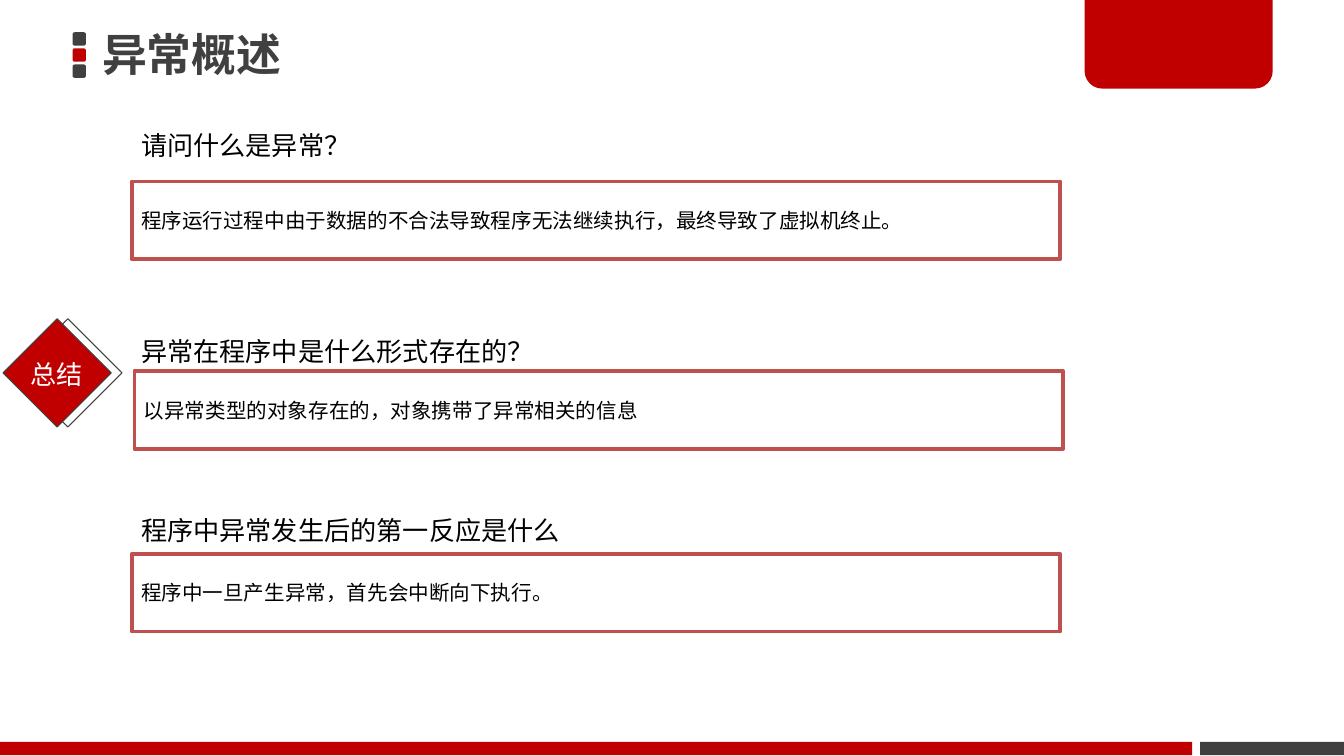
import pptx
import pptx.dml.color
import pptx.enum.shapes
import pptx.enum.text
import pptx.oxml.ns
import pptx.util
from lxml import etree

Inches = pptx.util.Inches
SHAPES = pptx.enum.shapes.MSO_SHAPE
ALIGN = pptx.enum.text.PP_ALIGN
ANCHOR = pptx.enum.text.MSO_ANCHOR

FONT = "Noto Sans CJK JP"
RED = "C00000"
GREY = "404040"
WHITE = "FFFFFF"
BLACK = "000000"
BORDER = "C0504D"

QUESTIONS = [
    (0.98, 0.92, 0.42, 1.0, "请问什么是异常？"),
    (0.98, 2.34, 0.43, 1.5, "异常在程序中是什么形式存在的？"),
    (0.98, 3.67, 0.43, 1.5, "程序中异常发生后的第一反应是什么"),
]
ANSWERS = [
    (0.98, 1.35, "程序运行过程中由于数据的不合法导致程序无法继续执行，最终导致了虚拟机终止。"),
    (1.0, 2.76, "以异常类型的对象存在的，对象携带了异常相关的信息"),
    (0.98, 4.12, "程序中一旦产生异常，首先会中断向下执行。"),
]


def rgb(color):
    return pptx.dml.color.RGBColor.from_string(color)


def place(part, left, top, width, height):
    part.left, part.top = Inches(left), Inches(top)
    part.width, part.height = Inches(width), Inches(height)


def paint(part, fill=None, line=None, line_width=0.5):
    if fill:
        part.fill.solid()
        part.fill.fore_color.rgb = rgb(fill)
    else:
        part.fill.background()
    if line:
        part.line.color.rgb = rgb(line)
        part.line.width = pptx.util.Pt(line_width)
    else:
        part.line.fill.background()


def add_block(slide, kind, box, fill=None, line=None, rotation=0):
    block = slide.shapes.add_shape(kind, *map(Inches, box))
    block.shadow.inherit = False
    block.rotation = rotation
    paint(block, fill, line)
    return block


def write(part, text, size, color=BLACK, bold=False, align=ALIGN.LEFT,
          anchor=ANCHOR.TOP, spacing=1.0):
    frame = part.text_frame
    frame.word_wrap = True
    frame.auto_size = pptx.enum.text.MSO_AUTO_SIZE.NONE
    frame.vertical_anchor = anchor
    frame.margin_left = frame.margin_right = Inches(0.07)
    frame.margin_top = frame.margin_bottom = Inches(0.04)
    paragraph = frame.paragraphs[0]
    paragraph.alignment = align
    paragraph.line_spacing = spacing
    paragraph.space_before = pptx.util.Pt(0)
    run = paragraph.add_run()
    run.text = text
    run.font.name = FONT
    run.font.size = pptx.util.Pt(size)
    run.font.bold = bold
    run.font.color.rgb = rgb(color)
    east_asian = etree.SubElement(run.font._element, pptx.oxml.ns.qn("a:ea"))
    east_asian.set("typeface", FONT)


def remove_bullet(paragraph):
    properties = paragraph._p.get_or_add_pPr()
    properties.set("marL", "0")
    properties.set("indent", "0")
    etree.SubElement(properties, pptx.oxml.ns.qn("a:buNone"))


def add_header(slide, left, top, width, height):
    for row, color in enumerate([GREY, RED, GREY]):
        add_block(slide, SHAPES.ROUNDED_RECTANGLE,
                  (left, top + 0.05 + row * 0.12, 0.1, 0.1), fill=color)
    title = slide.shapes.title
    place(title, left + 0.15, top, width - 0.15, height)
    write(title, "异常概述", 24, color=GREY, bold=True, anchor=ANCHOR.MIDDLE)


def add_corner_tab(slide, left, top, width, height):
    tab = add_block(slide, SHAPES.ROUND_2_SAME_RECTANGLE,
                    (left, top, width, height), fill=RED)
    tab.adjustments[0] = 0
    tab.adjustments[1] = 0.2


def add_footer(slide, left, top, width, height):
    red_width, gap = 8.87, 0.06
    grey_left = left + red_width + gap
    add_block(slide, SHAPES.RECTANGLE, (left, top, red_width, height), fill=RED)
    add_block(slide, SHAPES.RECTANGLE,
              (grey_left, top, left + width - grey_left, height), fill=GREY)


def add_summary_badge(slide, left, top, width, height):
    side = 0.57
    add_block(slide, SHAPES.RECTANGLE, (left + 0.2, top, side, side),
              line=GREY, rotation=45)
    add_block(slide, SHAPES.RECTANGLE, (left + 0.12, top, side, side),
              fill=RED, line=GREY, rotation=45)
    label = slide.shapes.add_textbox(
        Inches(left), Inches(top + 0.16), Inches(width), Inches(height))
    write(label, "总结", 14, color=WHITE, align=ALIGN.CENTER,
          anchor=ANCHOR.MIDDLE, spacing=0.9)


def add_question(slide, left, top, width, height, text, spacing):
    question = slide.shapes.add_textbox(
        Inches(left), Inches(top), Inches(width), Inches(height))
    write(question, text, 14, spacing=spacing)


def fill_answer(answer, left, top, width, height, text):
    place(answer, left, top, width, height)
    paint(answer, fill=WHITE, line=BORDER, line_width=2)
    remove_bullet(answer.text_frame.paragraphs[0])
    write(answer, text, 11, anchor=ANCHOR.MIDDLE)


def main():
    deck = pptx.Presentation()
    deck.slide_width = Inches(10)
    deck.slide_height = deck.slide_width * 9 // 16
    slide = deck.slides.add_slide(deck.slide_layouts.get_by_name("Comparison"))

    add_header(slide, 0.54, 0.19, 7.34, 0.42)
    add_corner_tab(slide, 8.07, 0, 1.4, 0.66)
    add_footer(slide, 0, 5.52, 10, 0.1)
    add_summary_badge(slide, 0.02, 2.49, 0.8, 0.3)

    bodies = [body for body in slide.placeholders
              if body.placeholder_format.idx > 0]
    for body, (left, top, text) in zip(bodies, ANSWERS):
        fill_answer(body, left, top, 6.91, 0.58, text)
    for unused in bodies[len(ANSWERS):]:
        unused._element.getparent().remove(unused._element)
    for left, top, height, spacing, text in QUESTIONS:
        add_question(slide, left, top, 6.91, height, text, spacing)

    deck.save("out.pptx")


if __name__ == "__main__":
    main()
